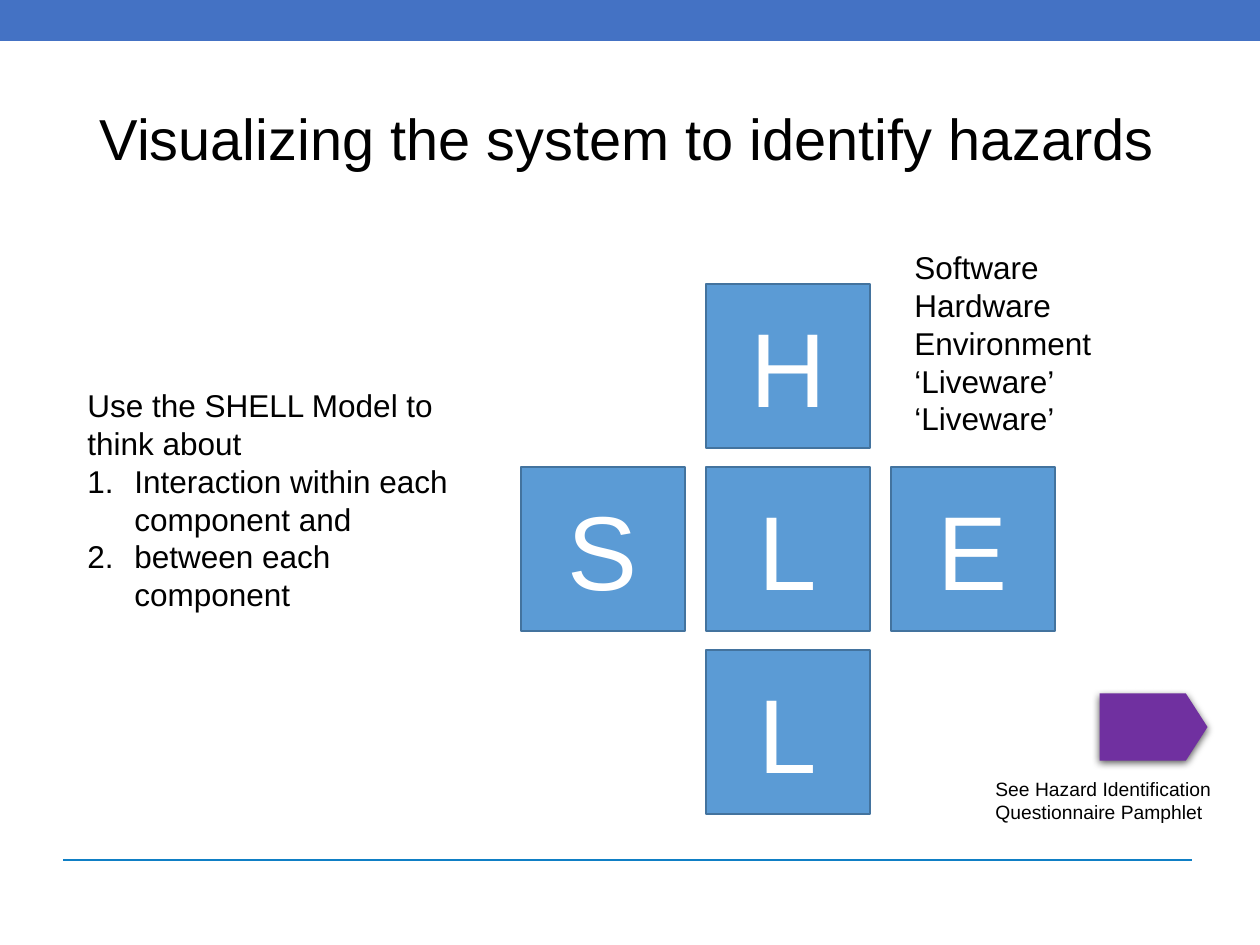
"""Build the SHELL model slide on identifying hazards."""
from lxml.etree import SubElement
from pptx import Presentation
from pptx.dml.color import RGBColor
from pptx.enum.shapes import MSO_CONNECTOR, MSO_SHAPE
from pptx.enum.text import MSO_ANCHOR, MSO_AUTO_SIZE, PP_ALIGN
from pptx.oxml.ns import qn
from pptx.util import Emu, Pt

BLACK = RGBColor(0x00, 0x00, 0x00)
WHITE = RGBColor(0xFF, 0xFF, 0xFF)
BAND = RGBColor(0x44, 0x72, 0xC4)
RULE = RGBColor(0x0F, 0x7F, 0xC5)
TILE = RGBColor(0x5B, 0x9B, 0xD5)
EDGE = RGBColor(0x43, 0x73, 0x9E)
PURPLE = RGBColor(0x70, 0x30, 0xA0)

TITLE = "Visualizing the system to identify hazards"
TILES = [("H", 1, 0), ("L", 1, 1), ("L", 1, 2), ("S", 0, 1), ("E", 2, 1)]
TERMS = ["Software", "Hardware", "Environment", "‘Liveware’", "‘Liveware’"]
INTRO = "Use the SHELL Model to think about"
STEPS = ["Interaction within each component and", "between each component"]
HINT = "See Hazard Identification Questionnaire Pamphlet"

LEFT, TOP, SIDE = 521, 284, 164
STEP_X, STEP_Y = 185, 183
INDENT = 47


def px(*nums):
    return [Emu(round(n * 914400 / 126)) for n in nums]


def write(para, text, size, color=BLACK):
    run = para.add_run()
    run.text = text
    run.font.name = "Arial"
    run.font.size = Pt(size)
    run.font.color.rgb = color


def add_box(shapes, kind, at, fill, line=None):
    box = shapes.add_shape(kind, *px(*at))
    box.shadow.inherit = False
    box.fill.solid()
    box.fill.fore_color.rgb = fill
    if line is None:
        box.line.fill.background()
    else:
        box.line.color.rgb = line
        box.line.width = Pt(1)
    return box


def add_text(shapes, at, lines, size):
    frame = shapes.add_textbox(*px(*at)).text_frame
    frame.word_wrap = True
    frame.auto_size = MSO_AUTO_SIZE.SHAPE_TO_FIT_TEXT
    for i, text in enumerate(lines):
        para = frame.add_paragraph() if i else frame.paragraphs[0]
        write(para, text, size)
    return frame


def number(para):
    props = para._p.get_or_add_pPr()
    gap = px(INDENT)[0]
    props.set("marL", str(gap))
    props.set("indent", str(-gap))
    SubElement(props, qn("a:buFont"), typeface="+mj-lt")
    SubElement(props, qn("a:buAutoNum"), type="arabicPeriod")


def add_shadow(shape):
    effects = shape._element.spPr.find(qn("a:effectLst"))
    outer = SubElement(effects, qn("a:outerShdw"), blurRad=str(Pt(4.5)),
                       dist=str(Pt(1.5)), dir="5400000", rotWithShape="0")
    color = SubElement(outer, qn("a:srgbClr"), val="000000")
    SubElement(color, qn("a:alpha"), val="63000")


def main():
    prs = Presentation()
    prs.slide_width, prs.slide_height = px(1260, 945)
    slide = prs.slides.add_slide(prs.slide_layouts[5])
    shapes = slide.shapes

    rule = shapes.add_connector(MSO_CONNECTOR.STRAIGHT, *px(63, 860, 1192, 860))
    rule.line.color.rgb = RULE
    rule.line.width = Pt(1.5)
    SubElement(rule._element.spPr, qn("a:effectLst"))
    add_box(shapes, MSO_SHAPE.RECTANGLE, (0, 0, 1260, 41), BAND)

    title = shapes.title
    title.left, title.top, title.width, title.height = px(87, 50, 1086, 183)
    frame = title.text_frame
    frame.auto_size = MSO_AUTO_SIZE.NONE
    frame.vertical_anchor = MSO_ANCHOR.MIDDLE
    para = frame.paragraphs[0]
    para.alignment = PP_ALIGN.LEFT
    para.line_spacing = 0.9
    write(para, TITLE, 33)

    for mark, col, row in TILES:
        at = (LEFT + col * STEP_X, TOP + row * STEP_Y, SIDE, SIDE)
        tile = add_box(shapes, MSO_SHAPE.RECTANGLE, at, TILE, EDGE)
        tile.text_frame.vertical_anchor = MSO_ANCHOR.MIDDLE
        para = tile.text_frame.paragraphs[0]
        para.alignment = PP_ALIGN.CENTER
        write(para, mark, 60, WHITE)

    add_text(shapes, (902, 242, 272, 204), TERMS, 18)
    guide = add_text(shapes, (75, 380, 386, 242), [INTRO, *STEPS], 18)
    for para in guide.paragraphs[1:]:
        number(para)

    group = shapes.add_group_shape().shapes
    arrow = add_box(group, MSO_SHAPE.FLOWCHART_OFFPAGE_CONNECTOR,
                    (1120, 673, 67, 108), PURPLE)
    arrow.rotation = 270
    add_shadow(arrow)
    add_text(group, (983, 771, 246, 59), [HINT], 11)

    prs.save("out.pptx")


if __name__ == "__main__":
    main()
